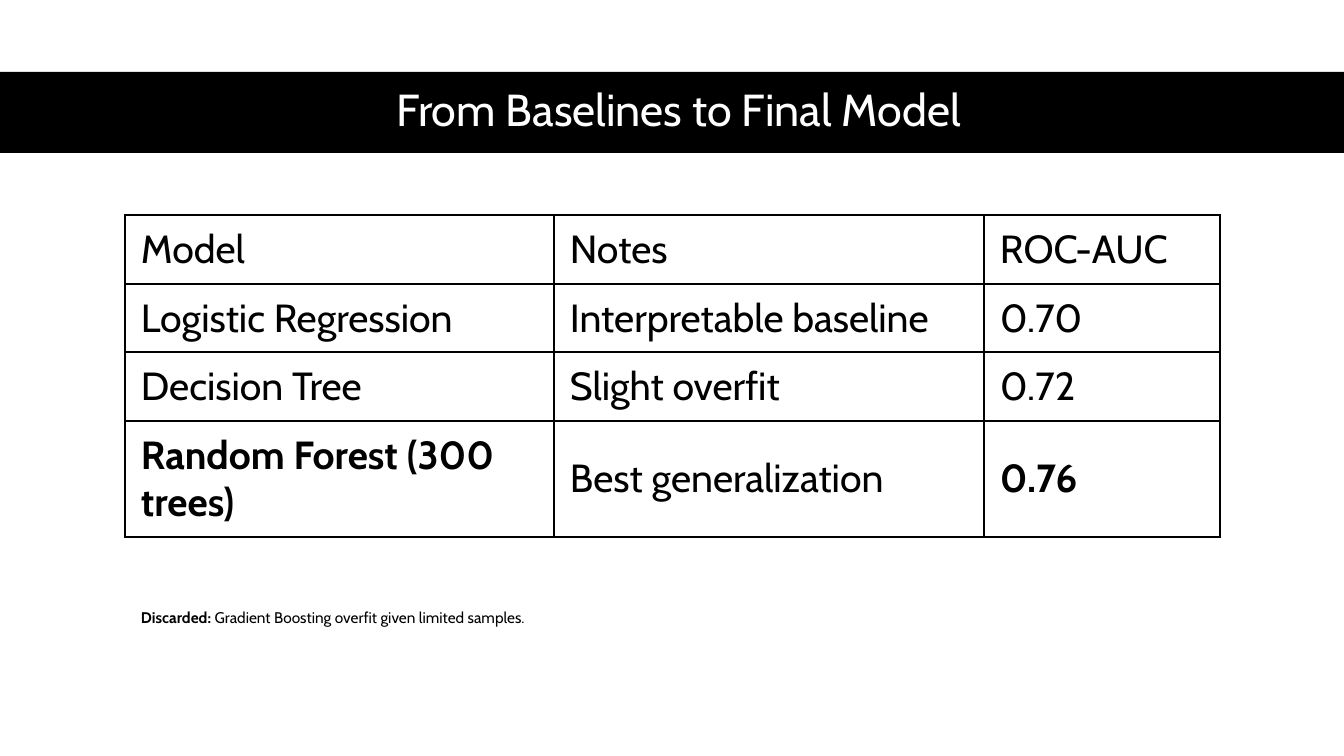
from lxml import etree
from pptx import Presentation
from pptx.dml.color import RGBColor as Rgb
from pptx.enum.shapes import MSO_SHAPE as Kind
from pptx.enum.text import MSO_ANCHOR as Anchor, PP_ALIGN as Align
from pptx.oxml.ns import qn
from pptx.util import Emu, Pt

HUES = {"ink": "000000", "paper": "FFFFFF"}
WIDE, HIGH = 1344, 756


def px(num):
    return Emu(round(num * 12192000 / WIDE))


def write(para, text, size=28, hue="ink", bold=False):
    run = para.add_run()
    run.text = text
    font = run.font
    font.name, font.size, font.bold = "Cabin", Pt(size), bold
    font.color.rgb = Rgb.from_string(HUES[hue])


deck = Presentation()
deck.slide_width, deck.slide_height = px(WIDE), px(HIGH)
slide = deck.slides.add_slide(deck.slide_layouts[5])
shapes = slide.shapes

# Title on a black band
band = shapes.add_shape(Kind.RECTANGLE, 0, px(72), px(WIDE), px(81))
band.shadow.inherit = False
band.fill.solid()
band.fill.fore_color.rgb = Rgb.from_string(HUES["ink"])
band.line.fill.background()

title = shapes.title
title.left, title.top = px(61), px(71)
title.width, title.height = px(1236), px(81)
title.text_frame.vertical_anchor = Anchor.MIDDLE
head = title.text_frame.paragraphs[0]
head.alignment, head.line_spacing = Align.CENTER, 0.9
write(head, "From Baselines to Final Model", size=32, hue="paper")
shapes._spTree.append(title._element)

# Model table, with the note in an open last row
ROWS = [
    ["Model", "Notes", "ROC-AUC"],
    ["Logistic Regression", "Interpretable baseline", "0.70"],
    ["Decision Tree", "Slight overfit", "0.72"],
    ["Random Forest (300 trees)", "Best generalization", "0.76"],
    ["", "", ""],
]
BOLD = {"Random Forest (300 trees)", "0.76"}
COLS = [429, 430, 236]
TALL = [69, 68, 69, 116, 162]
LAST = len(ROWS) - 1

frame = shapes.add_table(len(ROWS), len(COLS), px(125), px(215),
                         px(sum(COLS)), px(sum(TALL)))
table = frame.table
table.first_row = table.horz_banding = False
for col, wide in zip(table.columns, COLS):
    col.width = px(wide)
for row, tall in zip(table.rows, TALL):
    row.height = px(tall)

for r, row in enumerate(ROWS):
    for c, text in enumerate(row):
        cell = table.cell(r, c)
        cell.vertical_anchor = Anchor.MIDDLE
        cell.margin_left = cell.margin_right = px(16)
        cell.margin_top = cell.margin_bottom = px(8)
        cell.fill.background()
        if text:
            write(cell.text_frame.paragraphs[0], text, bold=text in BOLD)
        props = cell._tc.get_or_add_tcPr()
        for spot, side in enumerate("LRTB"):
            line = etree.Element(qn(f"a:ln{side}"), w=str(Pt(1)))
            if r < LAST or side == "T":
                fill = etree.SubElement(line, qn("a:solidFill"))
                etree.SubElement(fill, qn("a:srgbClr"), val=HUES["ink"])
            else:
                etree.SubElement(line, qn("a:noFill"))
            props.insert(spot, line)

note = table.cell(LAST, 0).text_frame.paragraphs[0]
write(note, "Discarded:", size=11, bold=True)
write(note, " Gradient Boosting overfit given limited samples.", size=11)

deck.save("out.pptx")
